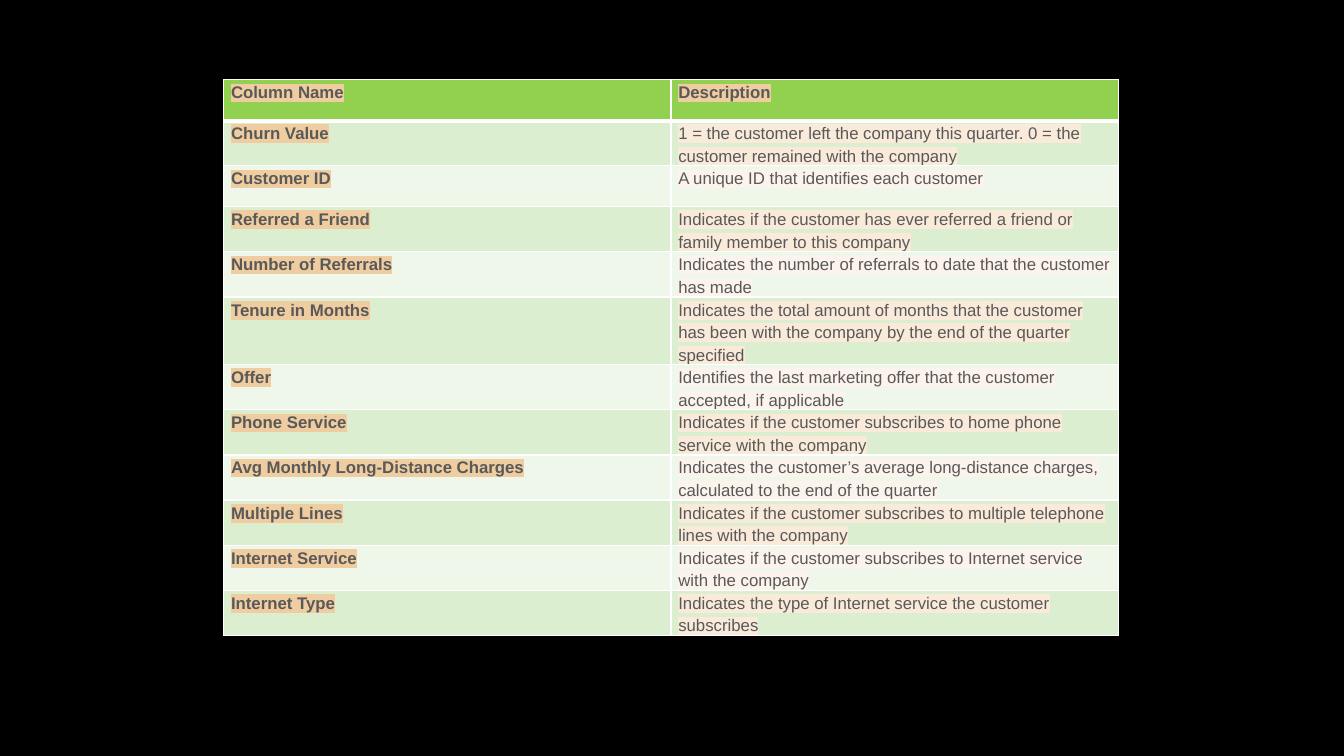
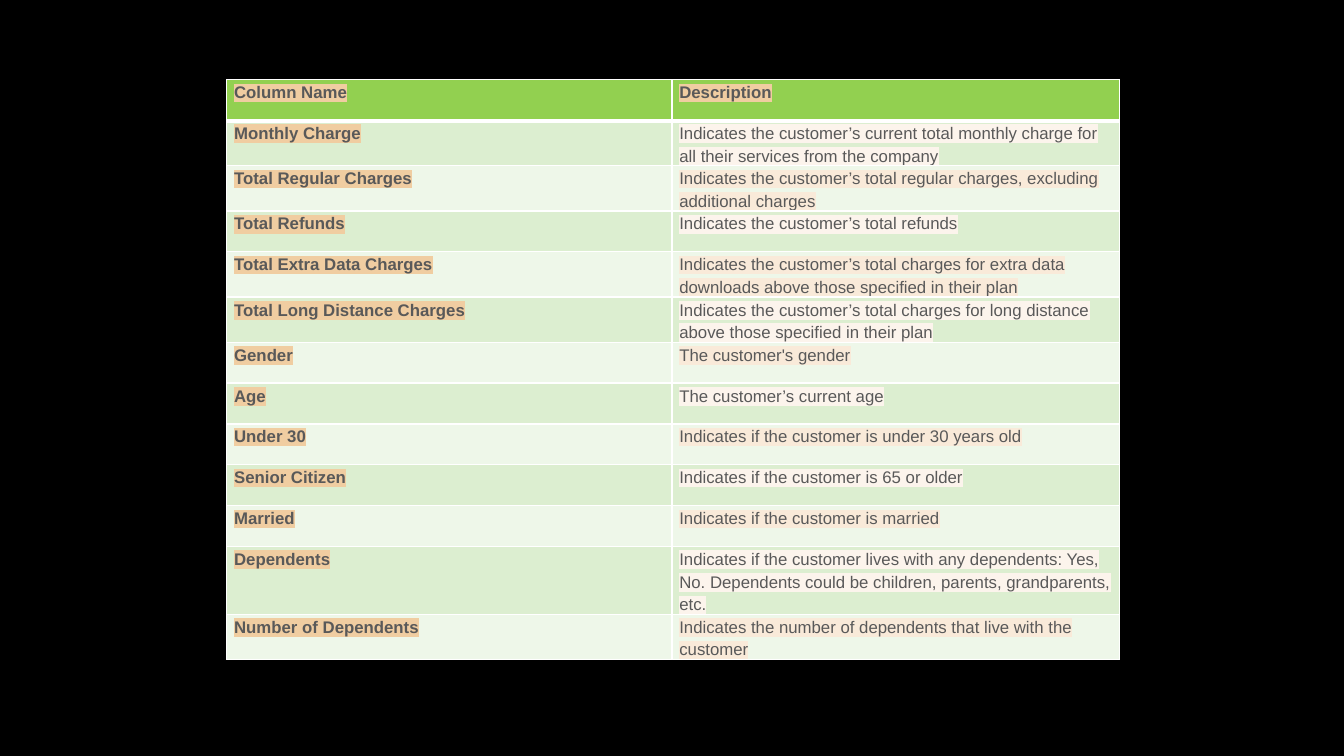
from dataclasses import dataclass

from lxml.etree import SubElement
from pptx import Presentation
from pptx.dml.color import RGBColor
from pptx.oxml.ns import qn
from pptx.slide import Slide
from pptx.table import _Cell
from pptx.text.text import _Run
from pptx.util import Emu, Pt

PIXEL = 9525


@dataclass(frozen=True)
class Theme:
    font: str = "Arial"
    text_size: int = 12
    line_spacing: float = 1.2
    background: str = "000000"
    text: str = "595959"
    border: str = "FFFFFF"
    header: str = "92D050"
    bands: tuple[str, str] = ("DCEED0", "EEF7E9")
    name_highlight: str = "F0CDA1"
    strong_highlight: str = "F9EAD9"
    pale_highlight: str = "FCF4EC"
    thin_border: int = 1
    header_border: int = 3


@dataclass(frozen=True)
class Field:
    name: str
    description: str


@dataclass(frozen=True)
class FieldTable:
    left: int
    column_widths: tuple[int, int]
    highlights: tuple[str, str]
    fields: tuple[Field, ...]


THEME = Theme()
TABLE_TOP = 76
ROW_HEIGHT = 39
CELL_MARGIN = 7
HEADING = Field("Column Name", "Description")

SERVICE_FIELDS = (
    Field("Churn Value", "1 = the customer left the company this quarter. 0 = the customer remained with the company"),
    Field("Customer ID", "A unique ID that identifies each customer"),
    Field("Referred a Friend", "Indicates if the customer has ever referred a friend or family member to this company"),
    Field("Number of Referrals", "Indicates the number of referrals to date that the customer has made"),
    Field(
        "Tenure in Months",
        "Indicates the total amount of months that the customer has been with the company "
        "by the end of the quarter specified",
    ),
    Field("Offer", "Identifies the last marketing offer that the customer accepted, if applicable"),
    Field("Phone Service", "Indicates if the customer subscribes to home phone service with the company"),
    Field(
        "Avg Monthly Long-Distance Charges",
        "Indicates the customer’s average long-distance charges, calculated to the end of the quarter",
    ),
    Field("Multiple Lines", "Indicates if the customer subscribes to multiple telephone lines with the company"),
    Field("Internet Service", "Indicates if the customer subscribes to Internet service with the company"),
    Field("Internet Type", "Indicates the type of Internet service the customer subscribes"),
)

CUSTOMER_FIELDS = (
    Field(
        "Monthly Charge",
        "Indicates the customer’s current total monthly charge for all their services from the company",
    ),
    Field("Total Regular Charges", "Indicates the customer’s total regular charges, excluding additional charges"),
    Field("Total Refunds", "Indicates the customer’s total refunds"),
    Field(
        "Total Extra Data Charges",
        "Indicates the customer’s total charges for extra data downloads above those specified in their plan",
    ),
    Field(
        "Total Long Distance Charges",
        "Indicates the customer’s total charges for long distance above those specified in their plan",
    ),
    Field("Gender", "The customer's gender"),
    Field("Age", "The customer’s current age"),
    Field("Under 30", "Indicates if the customer is under 30 years old"),
    Field("Senior Citizen", "Indicates if the customer is 65 or older"),
    Field("Married", "Indicates if the customer is married"),
    Field(
        "Dependents",
        "Indicates if the customer lives with any dependents: Yes, No. "
        "Dependents could be children, parents, grandparents, etc.",
    ),
    Field("Number of Dependents", "Indicates the number of dependents that live with the customer"),
)

FIELD_TABLES = (
    FieldTable(213, (426, 426), (THEME.strong_highlight, THEME.pale_highlight), SERVICE_FIELDS),
    FieldTable(216, (424, 426), (THEME.pale_highlight, THEME.strong_highlight), CUSTOMER_FIELDS),
)


def px(length: int) -> Emu:
    return Emu(length * PIXEL)


def add_borders(cell: _Cell, is_header: bool) -> None:
    properties = cell._tc.get_or_add_tcPr()
    widths = {"lnL": THEME.thin_border, "lnR": THEME.thin_border}
    if is_header:
        widths["lnT"] = THEME.thin_border
    widths["lnB"] = THEME.header_border if is_header else THEME.thin_border
    for side, width in widths.items():
        line = SubElement(properties, qn(f"a:{side}"), w=str(Pt(width)))
        fill = SubElement(line, qn("a:solidFill"))
        SubElement(fill, qn("a:srgbClr"), val=THEME.border)


def format_run(run: _Run, bold: bool, highlight: str) -> None:
    run.font.size = Pt(THEME.text_size)
    run.font.bold = bold
    run.font.color.rgb = RGBColor.from_string(THEME.text)
    marker = SubElement(run._r.get_or_add_rPr(), qn("a:highlight"))
    SubElement(marker, qn("a:srgbClr"), val=highlight)
    run.font.name = THEME.font


def fill_cell(cell: _Cell, text: str, fill: str, highlight: str, bold: bool, is_header: bool) -> None:
    cell.margin_left = cell.margin_right = px(CELL_MARGIN)
    cell.margin_top = cell.margin_bottom = 0
    add_borders(cell, is_header)
    cell.fill.solid()
    cell.fill.fore_color.rgb = RGBColor.from_string(fill)
    paragraph = cell.text_frame.paragraphs[0]
    paragraph.line_spacing = THEME.line_spacing
    run = paragraph.add_run()
    run.text = text
    format_run(run, bold, highlight)


def add_field_table(slide: Slide, field_table: FieldTable) -> None:
    rows = (HEADING, *field_table.fields)
    widths = field_table.column_widths
    table = slide.shapes.add_table(
        len(rows), len(widths), px(field_table.left), px(TABLE_TOP), px(sum(widths)), px(ROW_HEIGHT * len(rows))
    ).table
    table.horz_banding = False
    for column, width in zip(table.columns, widths):
        column.width = px(width)
    for index, field in enumerate(rows):
        is_header = index == 0
        band = (index - 1) % 2
        fill = THEME.header if is_header else THEME.bands[band]
        highlight = THEME.name_highlight if is_header else field_table.highlights[band]
        fill_cell(table.cell(index, 0), field.name, fill, THEME.name_highlight, True, is_header)
        fill_cell(table.cell(index, 1), field.description, fill, highlight, is_header, is_header)


def main() -> None:
    presentation = Presentation()
    presentation.slide_width = px(1280)
    presentation.slide_height = px(720)
    background = presentation.slide_master.background.fill
    background.solid()
    background.fore_color.rgb = RGBColor.from_string(THEME.background)
    blank_layout = presentation.slide_layouts[6]
    for field_table in FIELD_TABLES:
        add_field_table(presentation.slides.add_slide(blank_layout), field_table)
    presentation.save("out.pptx")


if __name__ == "__main__":
    main()
